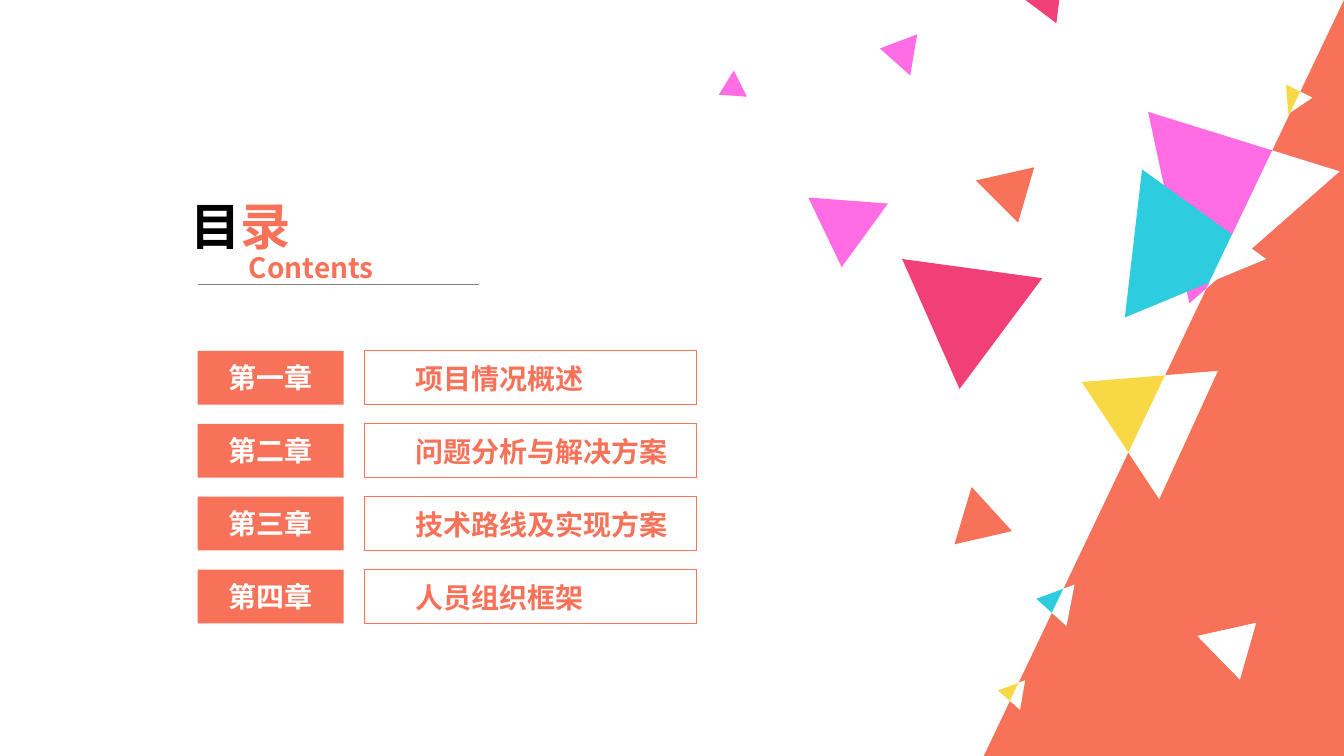
from dataclasses import dataclass
from lxml import etree
from pptx import Presentation
from pptx import util as u
from pptx.dml.color import RGBColor
from pptx.enum import shapes, text
from pptx.oxml import ns


@dataclass(frozen=True)
class Theme:
    font: str = "Noto Sans CJK SC"
    coral: str = "F77258"
    pink: str = "FF6CE4"
    cyan: str = "2DCCDF"
    gold: str = "F8D845"
    rose: str = "F04077"
    white: str = "FFFFFF"
    black: str = "000000"
    gray: str = "808080"
    head: int = 36
    body: int = 20
    lead: int = 24


THEME = Theme()
WIDE, HIGH = 960, 540
FOOT = 702.7
ITEMS = [("第一章", "项目情况概述"), ("第二章", "问题分析与解决方案"),
         ("第三章", "技术路线及实现方案"), ("第四章", "人员组织框架")]
SHARDS = [
    (THEME.coral, [(738.7, 119.5), (727.2, 159.1), (697, 128.9)]),
    (THEME.pink, [(849.6, 216.7), (820.1, 79.9), (956.9, 122.4)]),
    (THEME.cyan, [(803.5, 226.8), (815.8, 121), (904.3, 185)]),
    (THEME.cyan, [(740.2, 427.7), (767.5, 417.6), (761.8, 447.1)]),
    (THEME.gold, [(712.8, 493.2), (732.2, 486), (728.6, 506.9)]),
    (THEME.gold, [(772.6, 272.9), (869.8, 265), (828, 356.4)]),
    (THEME.rose, [(744.5, 198.7), (685.4, 277.9), (644.4, 185)]),
    (THEME.gold, [(920.2, 81.4), (918.7, 60.5), (937.4, 69.8)]),
    (THEME.pink, [(628.6, 34.6), (655.2, 24.5), (650.2, 54)]),
    (THEME.rose, [(754.6, 16.6), (731.5, -0.7), (758.2, -12.2)]),
    (THEME.pink, [(601.2, 190.8), (577.4, 141.1), (634.3, 145.4)]),
    (THEME.coral, [(722.9, 379.4), (681.8, 388.8), (694.1, 347.8)]),
    (THEME.white, [(897.1, 445), (885.6, 485.3), (855.4, 454.3)]),
    (THEME.pink, [(513.4, 67.7), (524.2, 50.4), (533.5, 69.1)]),
]


def tint(shape, fill=None, line=None):
    shape.shadow.inherit = False
    if fill:
        shape.fill.solid()
        shape.fill.fore_color.rgb = RGBColor.from_string(fill)
    else:
        shape.fill.background()
    if line:
        shape.line.color.rgb = RGBColor.from_string(line)
        shape.line.width = u.Pt(0.75)
    else:
        shape.line.fill.background()


def style(run, size, color):
    run.font.size = u.Pt(size)
    run.font.bold = True
    run.font.name = THEME.font
    run.font.color.rgb = RGBColor.from_string(color)
    etree.SubElement(run._r.get_or_add_rPr(), ns.qn("a:ea"), typeface=THEME.font)


def place(shape, left, top, width, height):
    shape.left, shape.top = u.Pt(left), u.Pt(top)
    shape.width, shape.height = u.Pt(width), u.Pt(height)
    frame = shape.text_frame
    frame.word_wrap = True
    frame.auto_size = text.MSO_AUTO_SIZE.NONE
    frame.vertical_anchor = text.MSO_ANCHOR.TOP
    return frame


def block(slide, kind, left, top, width, height):
    return slide.shapes.add_shape(kind, u.Pt(left), u.Pt(top), u.Pt(width), u.Pt(height))


def poly(slide, points, color):
    dots = [(u.Pt(x), u.Pt(y)) for x, y in points]
    form = slide.shapes.build_freeform(*dots[0])
    form.add_line_segments(dots[1:], close=True)
    tint(form.convert_to_shape(), color)


def beyond(points):
    def gap(dot):
        x, y = dot
        return x - WIDE + (WIDE - FOOT) * y / HIGH

    kept = []
    for one, two in zip(points, points[1:] + points[:1]):
        a, b = gap(one), gap(two)
        if a > 0:
            kept.append(one)
        if a * b < 0:
            part = a / (a - b)
            kept.append(tuple(p + (q - p) * part for p, q in zip(one, two)))
    return kept


def draw_slope(slide, left, top, width, height):
    slope = block(slide, shapes.MSO_SHAPE.ISOSCELES_TRIANGLE, left, top, width, height)
    slope.adjustments[0] = 1
    tint(slope, THEME.coral)


def draw_shards(slide):
    for color, points in SHARDS:
        poly(slide, points, color)
    for color, points in SHARDS:
        white = beyond(points)
        if white:
            poly(slide, white, THEME.white)


def draw_head(slide, left, top, width):
    frame = place(slide.shapes.title, left - 12.2, top, 113, 51)
    frame.text = "目"
    para = frame.paragraphs[0]
    para.alignment = text.PP_ALIGN.LEFT
    para.add_run().text = "录"
    for run, color in zip(para.runs, (THEME.black, THEME.coral)):
        style(run, THEME.head, color)

    box = slide.shapes.add_textbox(0, 0, 0, 0)
    frame = place(box, left + 29.6, top + 39.2, 113, 31.7)
    frame.text = "Contents"
    style(frame.paragraphs[0].runs[0], THEME.body, THEME.coral)

    y = u.Pt(top + 67)
    rule = slide.shapes.add_connector(
        shapes.MSO_CONNECTOR.STRAIGHT, u.Pt(left), y, u.Pt(left + width), y)
    rule.line.color.rgb = RGBColor.from_string(THEME.gray)
    rule.line.width = u.Pt(0.5)
    etree.SubElement(rule._element.spPr, ns.qn("a:effectLst"))


def draw_list(slide, left, top, width, height):
    tall, tag, gap = 38.4, 104.4, 14.8
    step = (height - tall) / (len(ITEMS) - 1)
    wide = width - tag - gap
    frame = place(slide.placeholders[1], left + 148.3, top + 4.2, 218, height)
    frame.text = "\n".join(name for _, name in ITEMS)
    for para in frame.paragraphs:
        para.alignment = text.PP_ALIGN.LEFT
        para.line_spacing = u.Pt(THEME.lead)
        para.space_before = u.Pt(0)
        para.space_after = u.Pt(step - THEME.lead)
        props = para._p.get_or_add_pPr()
        props.set("marL", "0")
        props.set("indent", "0")
        etree.SubElement(props, ns.qn("a:buNone"))
        style(para.runs[0], THEME.body, THEME.coral)

    for row, (label, _) in enumerate(ITEMS):
        y = top + row * step
        rect = shapes.MSO_SHAPE.RECTANGLE
        tint(block(slide, rect, left + tag + gap, y, wide, tall), line=THEME.coral)
        chip = block(slide, rect, left, y, tag, tall)
        tint(chip, THEME.coral)
        frame = chip.text_frame
        frame.text = label
        frame.vertical_anchor = text.MSO_ANCHOR.MIDDLE
        frame.paragraphs[0].alignment = text.PP_ALIGN.CENTER
        style(frame.paragraphs[0].runs[0], THEME.body, THEME.white)


def main():
    deck = Presentation()
    deck.slide_width, deck.slide_height = u.Pt(WIDE), u.Pt(HIGH)
    slide = deck.slides.add_slide(deck.slide_layouts[1])
    draw_slope(slide, FOOT, 0, WIDE - FOOT, HIGH)
    draw_list(slide, 141.1, 250.6, 356.8, 194.7)
    draw_head(slide, 141.1, 136.1, 200.9)
    draw_shards(slide)
    deck.save("out.pptx")


if __name__ == "__main__":
    main()
